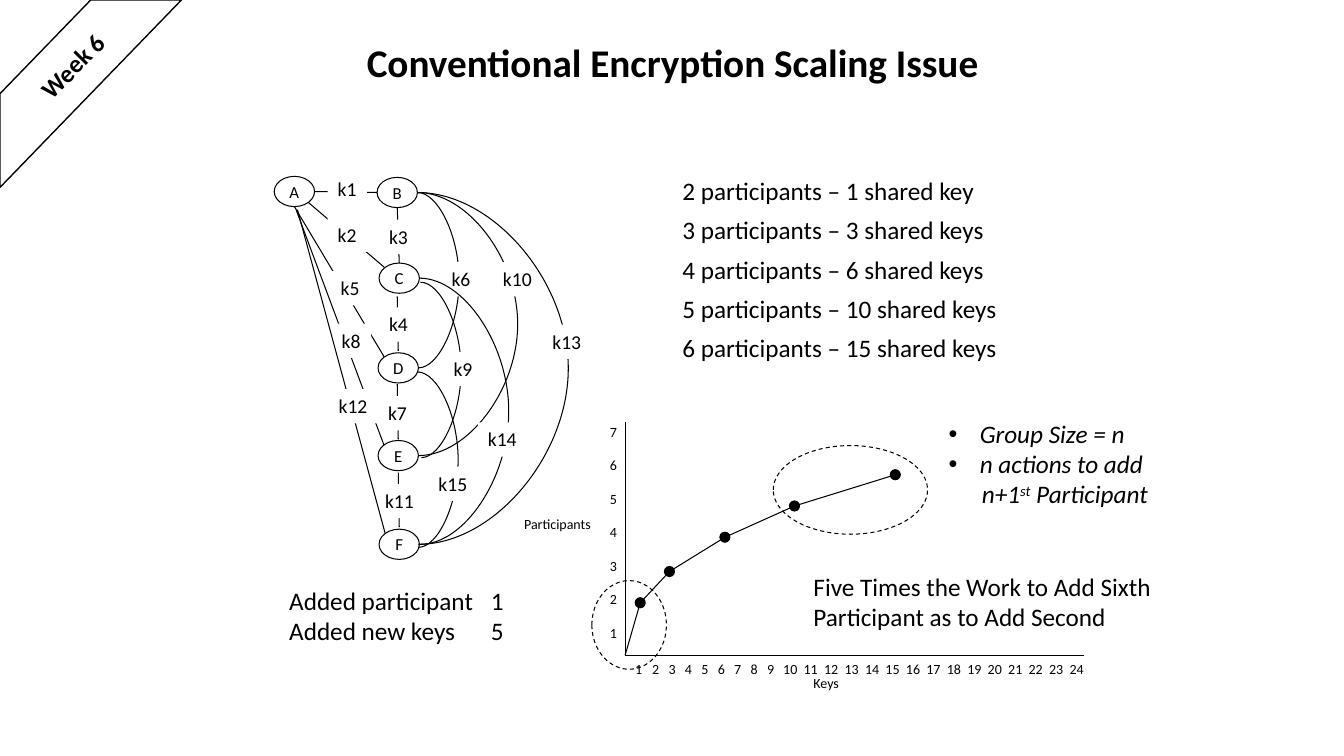
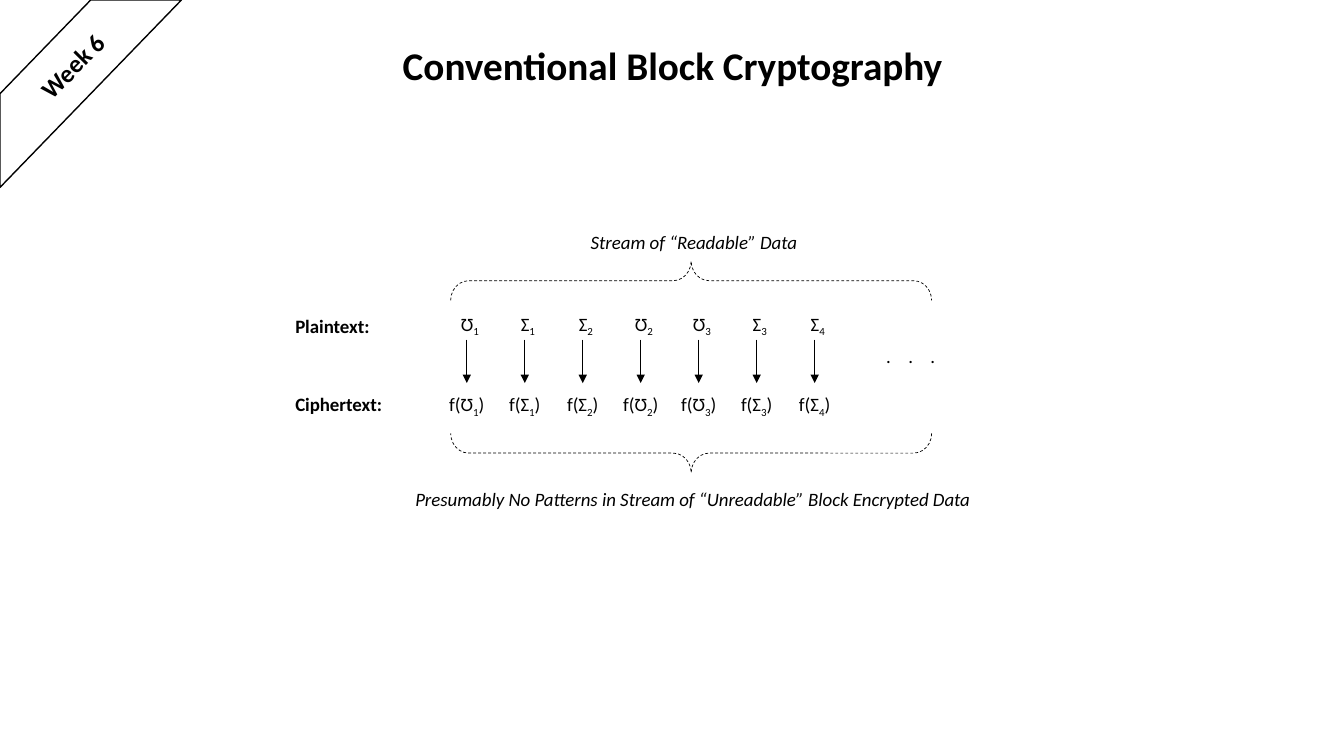
from dataclasses import dataclass
from itertools import pairwise

from lxml.etree import SubElement
from pptx import Presentation
from pptx.dml.color import RGBColor
from pptx.enum.dml import MSO_LINE
from pptx.enum.shapes import MSO_CONNECTOR, MSO_SHAPE
from pptx.enum.text import MSO_ANCHOR, MSO_AUTO_SIZE, PP_ALIGN
from pptx.oxml.ns import qn
from pptx.util import Inches, Pt


@dataclass(frozen=True)
class Theme:
    font: str = "Calibri"
    ink: RGBColor = RGBColor(0, 0, 0)
    paper: RGBColor = RGBColor(255, 255, 255)
    title: float = 28
    body: float = 18
    key: float = 14
    stream: float = 13.5
    node: float = 12
    axis: float = 10
    thin: float = 0.5
    line: float = 0.75
    frame: float = 1


THEME = Theme()

NODES = {
    "A": (2.72, 1.75), "B": (3.74, 1.76), "C": (3.76, 2.61),
    "D": (3.75, 3.5), "E": (3.75, 4.37), "F": (3.76, 5.25),
}
# name, line start, line end, label corner, bulge to the right (0 is straight)
KEYS = [
    ("k1", (3.12, 1.9), (3.74, 1.91), (3.25, 1.71), 0),
    ("k2", (3.06, 2.01), (3.81, 2.65), (3.25, 2.16), 0),
    ("k3", (3.94, 2.06), (3.96, 2.61), (3.76, 2.18), 0),
    ("k4", (3.94, 2.94), (3.95, 3.48), (3.76, 3.05), 0),
    ("k5", (2.92, 2.05), (3.81, 3.54), (3.28, 2.69), 0),
    ("k6", (4.14, 1.91), (4.15, 3.65), (4.38, 2.6), 0.42),
    ("k7", (3.94, 3.81), (3.95, 4.36), (3.75, 3.93), 0),
    ("k8", (2.94, 2.09), (3.81, 4.42), (3.29, 3.21), 0),
    ("k9", (4.17, 2.8), (4.18, 4.54), (4.4, 3.49), 0.41),
    ("k10", (4.14, 1.91), (4.15, 4.52), (4.89, 2.6), 1.01),
    ("k11", (3.95, 4.69), (3.96, 5.23), (3.72, 4.8), 0),
    ("k12", (2.95, 2.08), (3.82, 5.29), (3.26, 3.86), 0),
    ("k13", (4.14, 1.91), (4.15, 5.4), (5.38, 3.22), 1.52),
    ("k14", (4.16, 2.76), (4.17, 5.4), (4.74, 4.19), 0.9),
    ("k15", (4.14, 3.69), (4.15, 5.43), (4.25, 4.63), 0.41),
]
GROWTH = [(6.35, 5.98), (6.64, 5.67), (7.19, 5.33), (7.88, 5.02), (8.88, 4.71)]
BLOCKS = ["Ʊ1", "Ʃ1", "Ʃ2", "Ʊ2", "Ʊ3", "Ʃ3", "Ʃ4"]


def set_tabs(para, stops):
    tabs = SubElement(para._p.get_or_add_pPr(), qn("a:tabLst"))
    for stop in stops:
        SubElement(tabs, qn("a:tab"), pos=str(Inches(stop)), algn="l")


def set_hanging(para, indent, bullet):
    properties = para._p.get_or_add_pPr()
    properties.set("marL", str(Inches(indent)))
    if bullet:
        properties.set("indent", str(-Inches(indent)))
        SubElement(properties, qn("a:buFont"), typeface="Arial")
        SubElement(properties, qn("a:buChar"), char="•")


def write(frame, lines, size, align=PP_ALIGN.LEFT, tabs=(), **font_values):
    """Fill a frame; a line is a string or a list of (text, baseline percent)."""
    values = {"name": THEME.font, "size": Pt(size), **font_values}
    for index, line in enumerate(lines):
        para = frame.paragraphs[0] if index == 0 else frame.add_paragraph()
        para.alignment = align
        if tabs:
            set_tabs(para, tabs)
        for text, baseline in [(line, 0)] if isinstance(line, str) else line:
            span = para.add_run()
            span.text = text
            for name, value in values.items():
                setattr(span.font, name, value)
            span.font.color.rgb = THEME.ink
            if baseline:
                span._r.get_or_add_rPr().set("baseline", str(baseline * 1000))


def add_text(page, at, lines, size, wrap=False, **options):
    box = page.shapes.add_textbox(*map(Inches, at))
    frame = box.text_frame
    frame.word_wrap = wrap
    frame.auto_size = MSO_AUTO_SIZE.SHAPE_TO_FIT_TEXT
    write(frame, lines, size, **options)
    return box


def add_outline(page, kind, at, fill=None, width=THEME.line, dashed=False):
    shape = page.shapes.add_shape(kind, *map(Inches, at))
    shape.shadow.inherit = False
    if fill is None:
        shape.fill.background()
    else:
        shape.fill.solid()
        shape.fill.fore_color.rgb = fill
    shape.line.color.rgb = THEME.ink
    shape.line.width = Pt(width)
    if dashed:
        shape.line.dash_style = MSO_LINE.DASH
    return shape


def add_line(page, start, end, width=THEME.line, arrow=False, bulge=0):
    """Draw a straight line, or a curve that swings out by bulge inches."""
    kind = MSO_CONNECTOR.CURVE if bulge else MSO_CONNECTOR.STRAIGHT
    line = page.shapes.add_connector(kind, *map(Inches, (*start, *end)))
    line.line.color.rgb = THEME.ink
    line.line.width = Pt(width)
    properties = line._element.spPr
    if arrow:
        SubElement(properties.find(qn("a:ln")), qn("a:tailEnd"), type="triangle")
    if bulge:
        geometry = properties.find(qn("a:prstGeom"))
        guides = geometry.find(qn("a:avLst"))
        if guides is None:
            guides = SubElement(geometry, qn("a:avLst"))
        share = round(bulge / (end[0] - start[0]) * 100000)
        SubElement(guides, qn("a:gd"), name="adj1", fmla=f"val {share}")
    SubElement(properties, qn("a:effectLst"))


def add_page(deck, title, line_spacing):
    page = deck.slides.add_slide(deck.slide_layouts[6])
    box = add_text(page, (2.17, 0.02, 9, 1.25), [title], THEME.title,
                   wrap=True, align=PP_ALIGN.CENTER, bold=True)
    box.text_frame.auto_size = MSO_AUTO_SIZE.NONE
    box.text_frame.vertical_anchor = MSO_ANCHOR.MIDDLE
    box.text_frame.paragraphs[0].line_spacing = line_spacing
    add_outline(page, MSO_SHAPE.DIAGONAL_STRIPE, (0, 0, 1.8, 1.86),
                THEME.paper, THEME.frame)
    week = add_text(page, (0.23, 0.45, 0.98, 0.4), ["Week 6"], THEME.body, bold=True)
    week.rotation = 314.8
    return page


def add_node(page, name, left, top):
    node = add_outline(page, MSO_SHAPE.OVAL, (left, top, 0.4, 0.3), THEME.paper)
    frame = node.text_frame
    frame.word_wrap = False
    frame.vertical_anchor = MSO_ANCHOR.MIDDLE
    for side in ("left", "right", "top", "bottom"):
        setattr(frame, f"margin_{side}", 0)
    write(frame, [name], THEME.node, align=PP_ALIGN.CENTER)


def add_key(page, name, start, end, corner, bulge):
    add_line(page, start, end, bulge=bulge)
    width = 0.39 if len(name) == 2 else 0.49
    label = add_text(page, (*corner, width, 0.34), [name], THEME.key)
    label.fill.solid()
    label.fill.fore_color.rgb = THEME.paper


def add_growth_graph(page):
    origin = (6.2, 6.5)
    add_line(page, (6.2, 4.19), origin)
    add_line(page, (10.75, 6.5), origin)
    add_text(page, (5.1, 5.07, 0.88, 0.27), ["Participants"], THEME.axis)
    add_text(page, (7.97, 6.64, 0.46, 0.27), ["Keys"], THEME.axis)

    counts = add_text(page, (5.95, 4.15, 0.27, 2.29),
                      [str(count) for count in range(7, 0, -1)], THEME.axis)
    for para in counts.text_frame.paragraphs[1:]:
        para.space_before = Pt(11.9)

    stops = [0.17 + 1.14 * step / 7 for step in range(8)]
    stops += [1.47 + 2.84 * step / 14 for step in range(15)]
    add_text(page, (6.2, 6.5, 4.8, 0.27), ["\t".join(map(str, range(1, 25)))],
             THEME.axis, wrap=True, tabs=stops)

    for start, end in pairwise([origin, *GROWTH]):
        add_line(page, start, end)
    for x, y in GROWTH:
        add_outline(page, MSO_SHAPE.OVAL, (x - 0.05, y - 0.05, 0.1, 0.1), THEME.ink)
    for at in ((5.87, 5.76, 0.74, 0.88), (7.67, 4.42, 1.53, 0.88)):
        add_outline(page, MSO_SHAPE.OVAL, at, dashed=True)


def build_scaling(deck):
    page = add_page(deck, "Conventional Encryption Scaling Issue", 0.9)
    for name, corner in NODES.items():
        add_node(page, name, *corner)
    for key in KEYS:
        add_key(page, *key)

    for people in range(2, 7):
        shared = people * (people - 1) // 2
        noun = "key" if shared == 1 else "keys"
        add_text(page, (6.67, 1.69 + 0.39 * (people - 2), 3.6, 0.4),
                 [f"{people} participants – {shared} shared {noun}"],
                 THEME.body, wrap=True)
    add_text(page, (2.77, 5.76, 2.41, 0.71),
             ["Added participant\t1", "Added new keys\t5"],
             THEME.body, wrap=True, tabs=[2])
    add_growth_graph(page)
    add_text(page, (7.97, 5.62, 3.64, 0.71),
             ["Five Times the Work to Add Sixth", "Participant as to Add Second"],
             THEME.body)
    actions = add_text(page, (9.31, 4.1, 2.23, 1.01),
                       ["Group Size = n", "n actions to add",
                        [("n+1", 0), ("st", 30), (" Participant", 0)]],
                       THEME.body, italic=True)
    for para, bullet in zip(actions.text_frame.paragraphs, (True, True, False)):
        set_hanging(para, 0.31 if bullet else 0.33, bullet)


def add_stream_note(page, text, at, brace_top, rotation):
    brace = add_outline(page, MSO_SHAPE.RIGHT_BRACE, (6.66, brace_top, 0.39, 4.77),
                        width=THEME.thin, dashed=True)
    brace.rotation = rotation
    brace.adjustments[0] = 0.46
    brace.adjustments[1] = 0.5
    add_text(page, at, [text], THEME.stream, italic=True)


def build_block(deck):
    page = add_page(deck, "Conventional Block Cryptography", 1.0)
    plain_top, cipher_top = 3.05, 3.85
    add_text(page, (2.83, 3.07, 0.95, 0.33), ["Plaintext:"], THEME.stream, bold=True)
    add_text(page, (2.83, cipher_top, 1.08, 0.33), ["Ciphertext:"],
             THEME.stream, bold=True)

    for index, (letter, number) in enumerate(BLOCKS):
        center = 4.63 + 3.45 * index / (len(BLOCKS) - 1)
        plain = [(letter, 0), (number, -25)]
        cipher = [(f"f({letter}", 0), (number, -25), (")", 0)]
        for spans, middle, top, width in ((plain, center + 0.03, plain_top, 0.38),
                                          (cipher, center, cipher_top, 0.56)):
            add_text(page, (middle - width / 2, top, width, 0.33), [spans],
                     THEME.stream, align=PP_ALIGN.CENTER)
        add_line(page, (center, 3.37), (center, 3.8), THEME.thin, arrow=True)

    add_text(page, (8.69, 3.37, 0.75, 0.33), [".\t.\t."], THEME.stream,
             wrap=True, tabs=[0.22, 0.44])
    add_stream_note(page, "Stream of “Readable” Data",
                    (5.76, 2.24, 2.29, 0.33), 0.4, 270)
    add_stream_note(
        page, "Presumably No Patterns in Stream of “Unreadable” Block Encrypted Data",
        (4.02, 4.79, 5.81, 0.33), 2.11, 90)


def main():
    deck = Presentation()
    deck.slide_width = Inches(13.33)
    deck.slide_height = Inches(7.5)
    build_scaling(deck)
    build_block(deck)
    deck.save("out.pptx")


if __name__ == "__main__":
    main()
